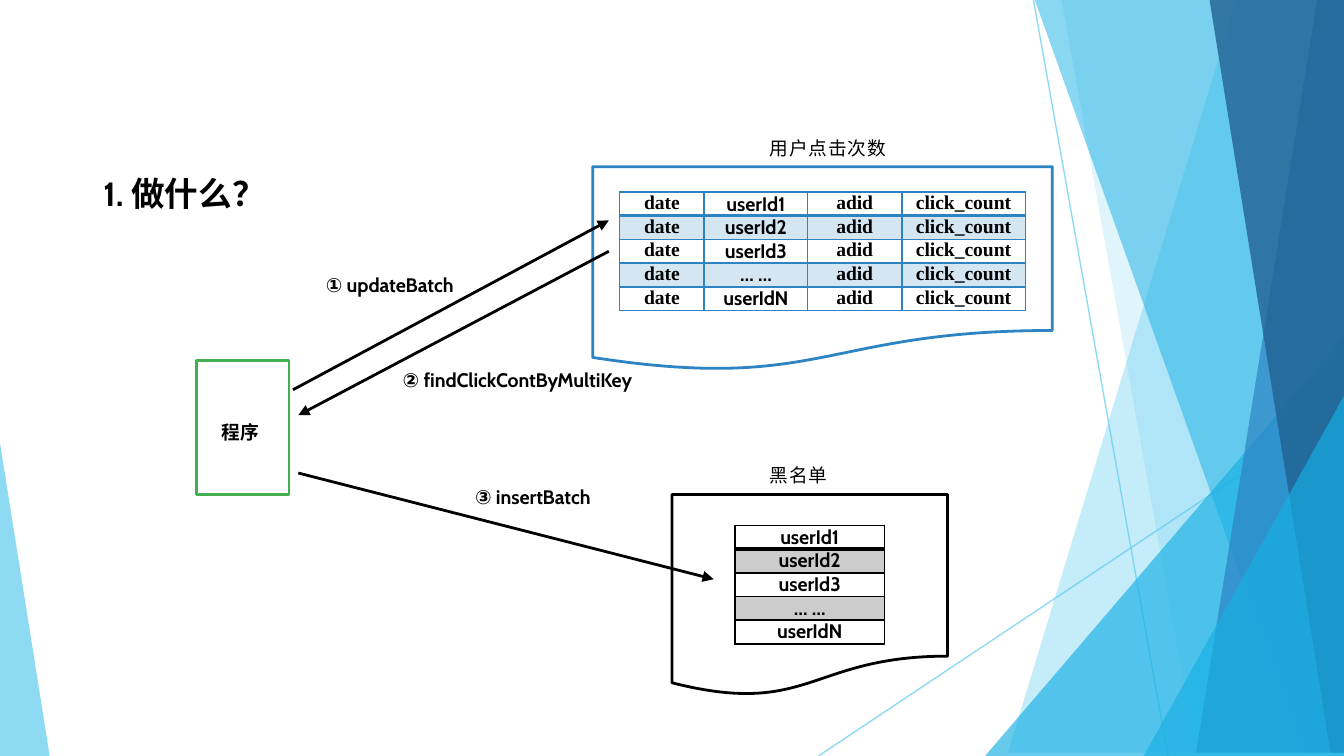
from lxml.etree import SubElement
from pptx import Presentation
from pptx.dml.color import RGBColor
from pptx.enum.shapes import MSO_CONNECTOR as Link, MSO_SHAPE as Kind
from pptx.enum.text import MSO_ANCHOR as Anchor, MSO_AUTO_SIZE as Fit, PP_ALIGN as Align
from pptx.oxml.ns import qn
from pptx.util import Inches, Pt

COLS, ROWS = 100, 56.25
BLACK, WHITE, BLUE, GREEN = "000000", "FFFFFF", "2E83C3", "42B051"
SKY, CYAN, NAVY = "5FCBEF", "17B0E4", "226292"
USERS = ["userId1", "userId2", "userId3", "… …", "userIdN"]
SERIF, SANS = "Times New Roman", "Cabin"


def grid(*cells):
    return [Inches(c / 10) for c in cells]


def rgb(value):
    return RGBColor.from_string(value)


def paint(fill, color, alpha=100):
    fill.solid()
    fill.fore_color.rgb = rgb(color)
    if alpha < 100:
        clr = fill._xPr.find(qn("a:solidFill"))[0]
        SubElement(clr, qn("a:alpha"), val=str(alpha * 1000))


def style(sp, color, alpha=100, line=None):
    sp.shadow.inherit = False
    paint(sp.fill, color, alpha)
    if line:
        sp.line.color.rgb = rgb(line)
        sp.line.width = Pt(1.5)
    else:
        sp.line.fill.background()


def connect(slide, start, end, color=BLACK, width=1.5, alpha=100, arrow=True):
    cx = slide.shapes.add_connector(Link.STRAIGHT, *grid(*start, *end))
    cx.line.width = Pt(width)
    paint(cx.line.fill, color, alpha)
    if arrow:
        SubElement(cx.line._get_or_add_ln(), qn("a:tailEnd"), type="triangle")
    SubElement(cx._element.spPr, qn("a:effectLst"))


def format_text(p, size, font, bold=True, align=Align.LEFT):
    p.alignment = align
    p.font.size = Pt(size)
    p.font.name = font
    p.font.bold = bold
    p.font.color.rgb = rgb(BLACK)


def label(slide, box, text, size=10.5, font=SANS, bold=True, align=Align.CENTER):
    tf = slide.shapes.add_textbox(*grid(*box)).text_frame
    tf.word_wrap = True
    p = tf.paragraphs[0]
    p.text = text
    format_text(p, size, font, bold, align)
    return p


def caption(slide, box, text):
    p = label(slide, box, text, 10, SERIF, False, Align.JUSTIFY)
    p.line_spacing = Pt(20)
    p.space_before = p.space_after = Pt(1)
    p.runs[0].font._element.set("spc", "50")


def shard(slide, box, top, bottom, color, alpha):
    x, y, w, h = box
    right, low = x + w, y + h
    fb = slide.shapes.build_freeform(right - top, y, scale=Inches(0.1))
    fb.add_line_segments([(right, y), (right, low), (right - bottom, low)])
    style(fb.convert_to_shape(), color, alpha)


def wedge(slide, box, width, height, color, alpha, apex=1):
    x, y, w, h = box
    left = x + (w - width) * apex
    sp = slide.shapes.add_shape(Kind.ISOSCELES_TRIANGLE, *grid(left, y + h - height, width, height))
    sp.adjustments[0] = apex
    style(sp, color, alpha)


def backdrop(slide, box):
    x, y, w, h = box
    right, low = x + w, y + h
    for start, end in [((right - 23.1, y), (right - 13.1, low)),
                       ((right, y + 30.2), (right - 39.1, low))]:
        connect(slide, start, end, SKY, 0.75, 70, False)
    for draw, *facet in [
        (shard, 7.9, 24.7, SKY, 36),
        (shard, 21.2, 11.3, SKY, 20),
        (wedge, 26.7, 31.2, CYAN, 66),
        (shard, 23.4, 3.2, CYAN, 50),
        (shard, 2.2, 10.6, BLUE, 70),
        (shard, 10.3, 1.2, NAVY, 80),
        (wedge, 14.9, 26.8, CYAN, 66),
        (wedge, 3.7, 23.3, SKY, 70, 0),
    ]:
        draw(slide, box, *facet)


def border(cell, color, top, bottom):
    pr = cell._tc.get_or_add_tcPr()
    for side, width in (("L", 1), ("R", 1), ("T", top), ("B", bottom)):
        ln = SubElement(pr, qn("a:ln" + side), w=str(Pt(width)))
        fill = SubElement(ln, qn("a:solidFill"))
        SubElement(fill, qn("a:srgbClr"), val=color)


def records(slide, box, rows, widths, color):
    table = slide.shapes.add_table(len(rows), len(widths), *grid(*box)).table
    table.first_row = table.horz_banding = False
    for col, width in zip(table.columns, widths):
        col.width = Inches(width / 10)
    for r, row in enumerate(rows):
        table.rows[r].height = Inches(box[3] / 10 / len(rows))
        for c, text in enumerate(row):
            cell = table.cell(r, c)
            cell.margin_left = cell.margin_right = Inches(0.07)
            cell.margin_top = cell.margin_bottom = 0
            border(cell, color, 2 if r == 1 else 1, 2 if r == 0 else 1)
            if r % 2:
                paint(cell.fill, color, 20)
            else:
                cell.fill.background()
            p = cell.text_frame.paragraphs[0]
            p.text = text
            format_text(p, 10.5, SANS if text in USERS else SERIF, align=Align.CENTER)


def store(slide, box, name, name_box, inset, rows, widths, color):
    x, y, w, h = box
    dx, dy, name_w, name_h = name_box
    caption(slide, (x + dx, y + dy, name_w, name_h), name)
    sp = slide.shapes.add_shape(Kind.FLOWCHART_DOCUMENT, *grid(*box))
    style(sp, WHITE, line=color)
    records(slide, (x + inset[0], y + inset[1], sum(widths), 8.8), rows, widths, color)


def program(slide, box):
    x, y, w, h = box
    sp = slide.shapes.add_shape(Kind.FLOWCHART_PROCESS, *grid(*box))
    style(sp, WHITE, line=GREEN)
    label(slide, (x + 0.9, y + 0.4 * h, 5.9, 2.7), "程序", 10, align=Align.LEFT)


def heading(slide, box, text):
    title = slide.shapes.title
    title.left, title.top, title.width, title.height = grid(*box)
    tf = title.text_frame
    tf.text = text
    tf.auto_size = Fit.NONE
    tf.vertical_anchor = Anchor.TOP
    format_text(tf.paragraphs[0], 18, SANS)


def calls(slide):
    for start, end, box, text in [
        ((21.8, 29), (45.3, 16.4), (23, 19.8, 12, 2.8), "① updateBatch"),
        ((45.3, 18.7), (22.2, 30.9), (28.4, 26.9, 20.2, 2.8), "② findClickContByMultiKey"),
        ((22.2, 35.2), (53.1, 43.1), (34.1, 35.6, 11.1, 2.8), "③ insertBatch"),
    ]:
        connect(slide, start, end)
        label(slide, box, text)


def main():
    prs = Presentation()
    prs.slide_width, prs.slide_height = grid(COLS, ROWS)
    slide = prs.slides.add_slide(prs.slide_layouts[5])
    backdrop(slide, (0, 0, COLS, ROWS))
    heading(slide, (6.7, 12.4, 15, 4), "1. 做什么？")
    store(slide, (50, 36.8, 20.5, 15), "黑名单", (6.3, -3.9, 7.9, 3.5), (4.7, 2.3),
          [[user] for user in USERS], [11.1], BLACK)
    program(slide, (14.6, 26.8, 6.9, 10))
    store(slide, (44.1, 12.4, 34.2, 15.2), "用户点击次数", (12.2, -3.8, 11.4, 3.8), (2, 1.9),
          [["date", user, "adid", "click_count"] for user in USERS], [6.3, 7.7, 7, 9.2], BLUE)
    calls(slide)
    prs.save("out.pptx")


if __name__ == "__main__":
    main()
